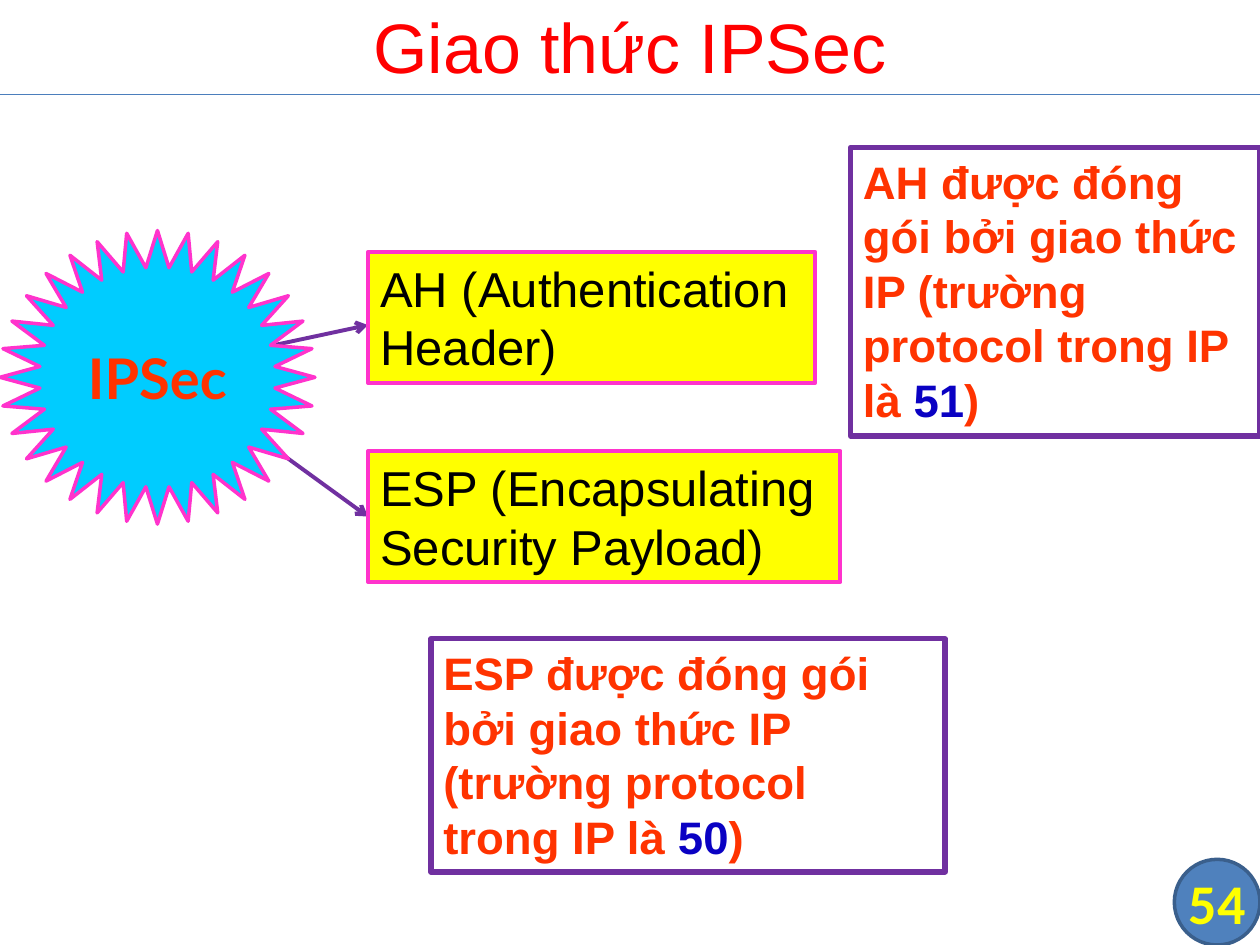
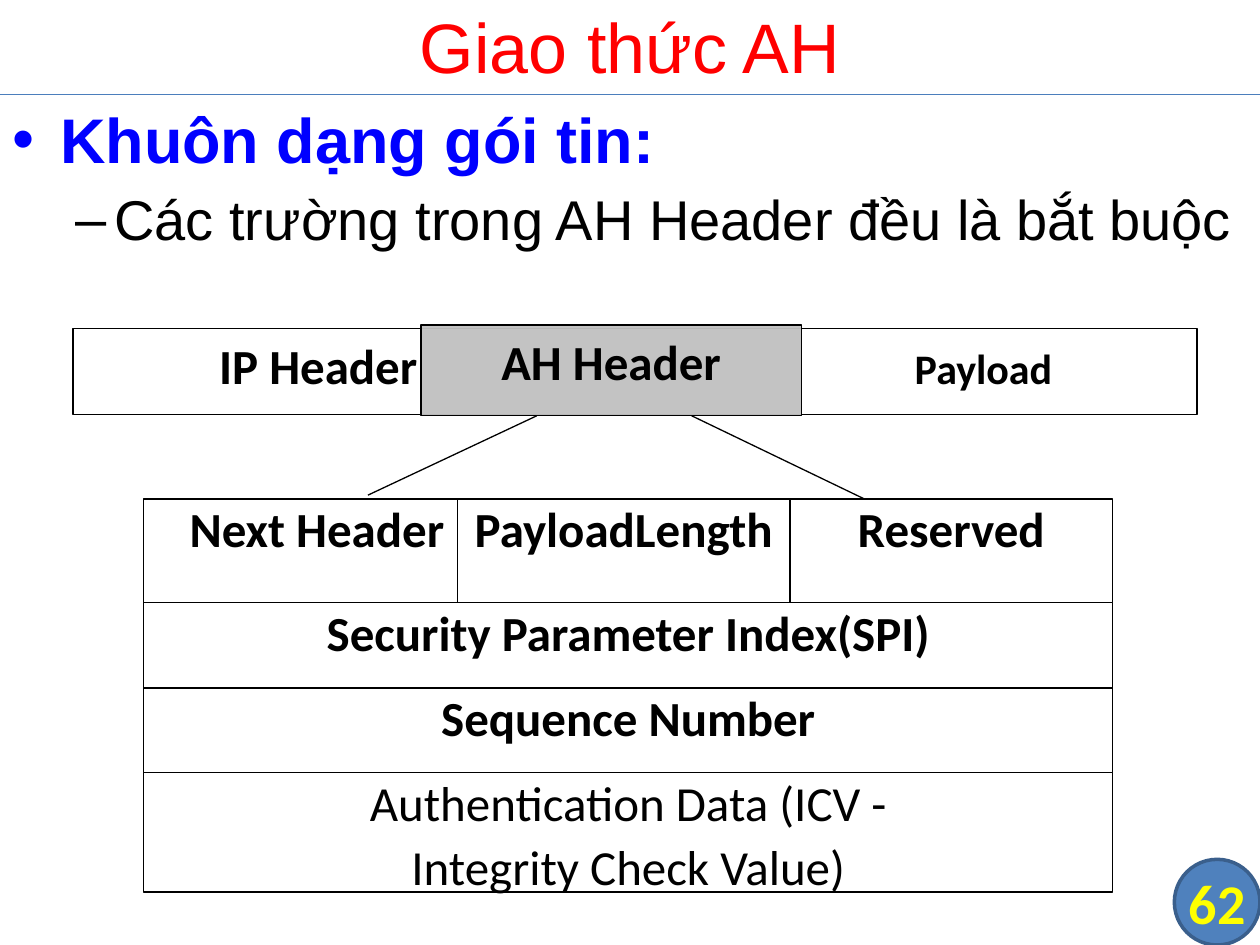
from lxml import etree
from pptx import Presentation
from pptx.dml.color import RGBColor
from pptx.enum import shapes, text
from pptx.oxml import ns
from pptx.util import Inches, Pt

RED = RGBColor(0xFF, 0x00, 0x00)
ORANGE = RGBColor(0xFF, 0x33, 0x00)
YELLOW = RGBColor(0xFF, 0xFF, 0x00)
PINK = RGBColor(0xFF, 0x33, 0xCC)
CYAN = RGBColor(0x00, 0xCC, 0xFF)
PURPLE = RGBColor(0x70, 0x30, 0xA0)
NAVY = RGBColor(0x0A, 0x01, 0xC3)
BLUE = RGBColor(0x00, 0x00, 0xFF)
STEEL = RGBColor(0x4F, 0x81, 0xBD)
RIM = RGBColor(0x3A, 0x5F, 0x8C)
RULE = RGBColor(0x4B, 0x7E, 0xBC)
GREY = RGBColor(0xC0, 0xC0, 0xC0)
BLACK = RGBColor(0x00, 0x00, 0x00)
WHITE = RGBColor(0xFF, 0xFF, 0xFF)

MID = text.MSO_ANCHOR.MIDDLE
TOP = text.MSO_ANCHOR.TOP
LEFT = text.PP_ALIGN.LEFT
CENTER = text.PP_ALIGN.CENTER
SHAPE = shapes.MSO_SHAPE
BOX = SHAPE.RECTANGLE


def put(slide, kind, at, paras, font, fill=None, line=None, width=0.75,
        align=CENTER, anchor=TOP, pad=(0.1, 0.05), wrap=True):
    """Add a shape, or a text box if kind is None.

    paras lists paragraphs, each a list of (words, changes to font).
    """
    area = [Inches(n) for n in at]
    if kind is None:
        item = slide.shapes.add_textbox(*area)
    else:
        item = slide.shapes.add_shape(kind, *area)
        item.shadow.inherit = False
        item.fill.solid()
        item.fill.fore_color.rgb = fill
        item.line.color.rgb = line
        item.line.width = Pt(width)
    frame = item.text_frame
    frame.word_wrap = wrap
    frame.vertical_anchor = anchor
    frame.margin_left = frame.margin_right = Inches(pad[0])
    frame.margin_top = frame.margin_bottom = Inches(pad[1])
    for i, runs in enumerate(paras):
        para = frame.add_paragraph() if i else frame.paragraphs[0]
        para.alignment = align
        for words, change in runs:
            run = para.add_run()
            run.text = words
            style = {**font, **change}
            run.font.color.rgb = style.pop("color")
            for key, value in style.items():
                setattr(run.font, key, value)
    return item


def link(slide, start, end, color, width=0.75, arrow=False):
    line = slide.shapes.add_connector(
        shapes.MSO_CONNECTOR.STRAIGHT, *[Inches(n) for n in start + end])
    line.line.color.rgb = color
    line.line.width = Pt(width)
    if arrow:
        etree.SubElement(line.line._get_or_add_ln(), ns.qn("a:tailEnd"), type="arrow")
    etree.SubElement(line._element.spPr, ns.qn("a:effectLst"))


deck = Presentation()
deck.slide_width, deck.slide_height = Inches(10), Inches(7.5)

# Shared title, rule and number badge
HEAD = dict(name="Arial", size=Pt(40), color=RED)
COUNT = dict(name="Calibri", size=Pt(32), color=YELLOW, bold=True)
pages = []
for title, number in [("Giao thức IPSec", "54"), ("Giao thức AH", "62")]:
    page = deck.slides.add_slide(deck.slide_layouts[6])
    link(page, (0, 0.75), (10, 0.75), RULE)
    put(page, None, (0, -0.03, 10, 0.78), [[(title, {})]], HEAD, anchor=MID)
    put(page, SHAPE.FLOWCHART_CONNECTOR, (9.32, 6.82, 0.68, 0.68), [[(number, {})]],
        COUNT, STEEL, RIM, 2, anchor=MID, pad=(0, 0), wrap=False)
    pages.append(page)
ipsec, ah = pages

# Slide 1: IPSec and its two protocols
for start, end in [((1.75, 2.83), (2.92, 2.58)), ((1.75, 3.25), (2.92, 4.1))]:
    link(ipsec, start, end, PURPLE, 2.25, arrow=True)

NAME = dict(name="Arial", size=Pt(28), color=BLACK)
for words, top, wide in [("AH (Authentication Header)", 2, 3.55),
                         ("ESP (Encapsulating Security Payload)", 3.58, 3.75)]:
    put(ipsec, BOX, (2.92, top, wide, 1.04), [[(words, {})]], NAME,
        YELLOW, PINK, 2.25, LEFT)

STAR = dict(name="Lato", size=Pt(32), color=ORANGE, bold=True)
put(ipsec, SHAPE.STAR_32_POINT, (0, 1.83, 2.5, 2.33), [[("IPSec", {})]], STAR,
    CYAN, PINK, 2, anchor=MID, pad=(0, 0))

NOTE = dict(name="Arial", size=Pt(26), color=ORANGE, bold=True)
for short, code, at in [("AH", "51", (6.75, 1.17, 3.25, 2.29)),
                        ("ESP", "50", (3.42, 5.07, 4.08, 1.85))]:
    runs = [(f"{short} được đóng gói bởi giao thức IP (trường protocol trong IP là ", {}),
            (code, {"color": NAVY}), (")", {})]
    put(ipsec, BOX, at, [runs], NOTE, WHITE, PURPLE, 3, LEFT)

# Slide 2: bullets
POINT = dict(name="Arial", size=Pt(36), color=BLUE, bold=True)
body = put(ah, None, (0, 0.75, 10, 1.4), [
    [("Khuôn dạng gói tin:", {})],
    [("Các trường trong AH Header đều là bắt buộc",
      {"size": Pt(32), "color": BLACK, "bold": False})]], POINT, align=LEFT)
points = body.text_frame.paragraphs
points[1].space_before = Pt(5)
for para, mark, left, hang in zip(points, "•–", (0.38, 0.81), (0.38, 0.31)):
    props = para._p.get_or_add_pPr()
    props.set("marL", str(Inches(left)))
    props.set("indent", str(-Inches(hang)))
    etree.SubElement(props, ns.qn("a:buFont"), typeface="Arial")
    etree.SubElement(props, ns.qn("a:buChar"), char=mark)

# Slide 2: fields of the AH header
FIELD = dict(name="Calibri", size=Pt(28), color=BLACK, bold=True)
PLAIN = {"bold": False}
EDGE, FULL = 1.14, 7.69
fields = [
    ((EDGE, 6.13, FULL, 0.95), [[("Authentication Data (ICV -", PLAIN)],
                                [("Integrity Check Value)", PLAIN)]]),
    ((EDGE, 3.96, 2.75, 0.9), [[("Next Header", {})]]),
    ((3.63, 3.96, 2.64, 0.9), [[("PayloadLength", {})]]),
    ((6.27, 3.96, 2.56, 0.9), [[("Reserved", {})]]),
    ((EDGE, 4.78, FULL, 0.68), [[("Security Parameter Index(SPI)", {})]]),
    ((EDGE, 5.46, FULL, 0.67), [[("Sequence Number", {})]]),
]
for at, paras in fields:
    field = put(ah, BOX, at, paras, FIELD, WHITE, BLACK, pad=(0, 0))
    for para in field.text_frame.paragraphs[1:]:
        para.space_before = Pt(3)

# Slide 2: whole packet, with a tab stop between its two outer parts
packet = put(ah, BOX, (0.58, 2.61, 8.92, 0.68),
             [[("IP Header\t", {}), ("Payload", {"size": Pt(24)})]],
             FIELD, WHITE, BLACK, align=LEFT)
packet.text_frame.margin_left = Inches(1.16)
props = packet.text_frame.paragraphs[0]._p.get_or_add_pPr()
tabs = etree.SubElement(props, ns.qn("a:tabLst"))
etree.SubElement(tabs, ns.qn("a:tab"), pos=str(Inches(5.52)), algn="l")

header = put(ah, BOX, (3.34, 2.58, 3.02, 0.72), [[("AH Header", {})]], FIELD, GREY, BLACK)
tint = header._element.spPr.find(ns.qn("a:solidFill"))[0]
etree.SubElement(tint, ns.qn("a:alpha"), val="95000")

for start, end in [((2.92, 3.93), (4.26, 3.3)), ((5.49, 3.3), (6.86, 3.96))]:
    link(ah, start, end, BLACK)

deck.save("out.pptx")
